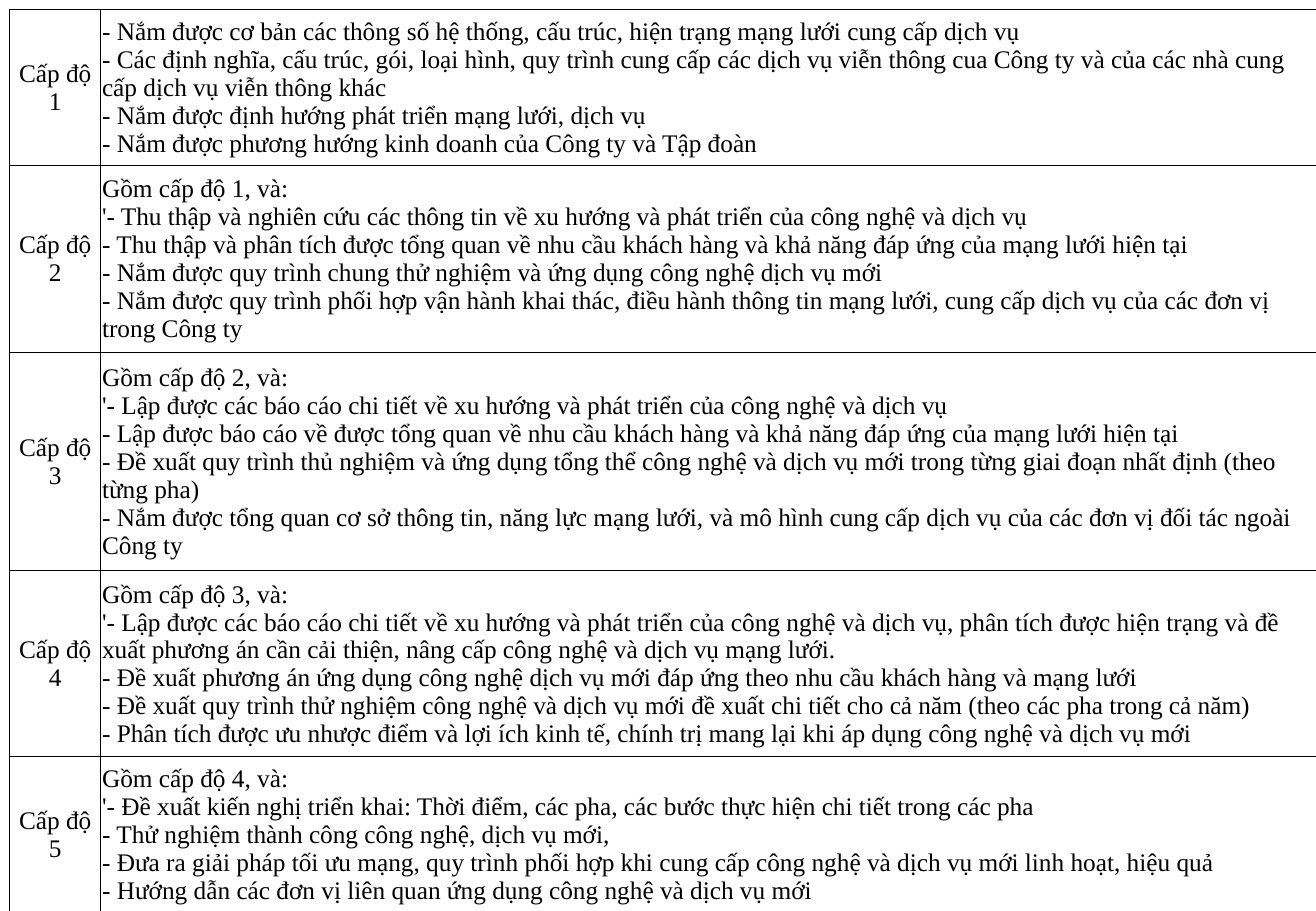
from dataclasses import dataclass

import pptx
import pptx.dml.color
import pptx.enum.text
import pptx.oxml
import pptx.oxml.ns
import pptx.table
import pptx.util

Align = pptx.enum.text.PP_ALIGN

# The slide is a grid of square cells, a hundred to the inch.
CELL = pptx.util.Inches(0.01)
WIDE, HIGH = 1083, 750
EDGE = 8
COLS = (75, WIDE - EDGE - 75)


@dataclass(frozen=True)
class Theme:
    font: str = "Times New Roman"
    size: float = 15
    ink: str = "000000"
    paper: str = "FFFFFF"
    line: float = 0.5


@dataclass(frozen=True)
class Level:
    rows: int
    skills: tuple[str, ...]


THEME = Theme()
LEVELS = (
    Level(128, (
        "Nắm được cơ bản các thông số hệ thống, cấu trúc, hiện trạng mạng lưới cung cấp dịch vụ",
        "Các định nghĩa, cấu trúc, gói, loại hình, quy trình cung cấp các dịch vụ viễn thông "
        "cua Công ty và của các nhà cung cấp dịch vụ viễn thông khác",
        "Nắm được định hướng phát triển mạng lưới, dịch vụ",
        "Nắm được phương hướng kinh doanh của Công ty và Tập đoàn",
    )),
    Level(154, (
        "Thu thập và nghiên cứu các thông tin về xu hướng và phát triển của công nghệ và dịch vụ",
        "Thu thập và phân tích được tổng quan về nhu cầu khách hàng và khả năng đáp ứng "
        "của mạng lưới hiện tại",
        "Nắm được quy trình chung thử nghiệm và ứng dụng công nghệ dịch vụ mới",
        "Nắm được quy trình phối hợp vận hành khai thác, điều hành thông tin mạng lưới, "
        "cung cấp dịch vụ của các đơn vị trong Công ty",
    )),
    Level(180, (
        "Lập được các báo cáo chi tiết về xu hướng và phát triển của công nghệ và dịch vụ",
        "Lập được báo cáo về được tổng quan về nhu cầu khách hàng và khả năng đáp ứng "
        "của mạng lưới hiện tại",
        "Đề xuất quy trình thủ nghiệm và ứng dụng tổng thể công nghệ và dịch vụ mới "
        "trong từng giai đoạn nhất định (theo từng pha)",
        "Nắm được tổng quan cơ sở thông tin, năng lực mạng lưới, và mô hình cung cấp dịch vụ "
        "của các đơn vị đối tác ngoài Công ty",
    )),
    Level(153, (
        "Lập được các báo cáo chi tiết về xu hướng và phát triển của công nghệ và dịch vụ, "
        "phân tích được hiện trạng và đề xuất phương án cần cải thiện, "
        "nâng cấp công nghệ và dịch vụ mạng lưới.",
        "Đề xuất phương án ứng dụng công nghệ dịch vụ mới đáp ứng theo nhu cầu "
        "khách hàng và mạng lưới",
        "Đề xuất quy trình thử nghiệm công nghệ và dịch vụ mới đề xuất chi tiết cho cả năm "
        "(theo các pha trong cả năm)",
        "Phân tích được ưu nhược điểm và lợi ích kinh tế, chính trị mang lại khi áp dụng "
        "công nghệ và dịch vụ mới",
    )),
    Level(128, (
        "Đề xuất kiến nghị triển khai: Thời điểm, các pha, các bước thực hiện chi tiết "
        "trong các pha",
        "Thử nghiệm thành công công nghệ, dịch vụ mới,",
        "Đưa ra giải pháp tối ưu mạng, quy trình phối hợp khi cung cấp công nghệ và dịch vụ mới "
        "linh hoạt, hiệu quả",
        "Hướng dẫn các đơn vị liên quan ứng dụng công nghệ và dịch vụ mới",
    )),
)


def rgb(code: str) -> pptx.dml.color.RGBColor:
    return pptx.dml.color.RGBColor.from_string(code)


def apply(item: object, style: dict[str, object]) -> None:
    for key, value in style.items():
        setattr(item, key, value)


def list_lines(rank: int, level: Level) -> list[str]:
    """Dash each skill; above the first rank, lead with the rank below."""
    lines = [f"- {skill}" for skill in level.skills]
    if rank > 1:
        lines[0] = "'" + lines[0]
        lines.insert(0, f"Gồm cấp độ {rank - 1}, và:")
    return lines


def add_frame(cell: pptx.table._Cell) -> None:
    """Rule all four sides of the cell."""
    props = cell._tc.get_or_add_tcPr()
    for side in "LRTB":
        props.append(pptx.oxml.parse_xml(
            f'<a:ln{side} {pptx.oxml.ns.nsdecls("a")} w="{pptx.util.Pt(THEME.line)}">'
            f'<a:solidFill><a:srgbClr val="{THEME.ink}"/></a:solidFill></a:ln{side}>'
        ))


def fill_cell(cell: pptx.table._Cell, lines: list[str], align: Align) -> None:
    apply(cell, {
        "margin_left": CELL, "margin_right": CELL, "margin_top": CELL, "margin_bottom": 0,
        "vertical_anchor": pptx.enum.text.MSO_ANCHOR.MIDDLE,
    })
    add_frame(cell)
    cell.fill.solid()
    cell.fill.fore_color.rgb = rgb(THEME.paper)
    cell.text_frame.text = "\n".join(lines)
    for para in cell.text_frame.paragraphs:
        para.alignment = align
        for run in para.runs:
            apply(run.font, {"name": THEME.font, "size": pptx.util.Pt(THEME.size)})
            run.font.color.rgb = rgb(THEME.ink)


def main() -> None:
    deck = pptx.Presentation()
    apply(deck, {"slide_width": WIDE * CELL, "slide_height": HIGH * CELL})
    slide = deck.slides.add_slide(deck.slide_layouts[6])
    high = sum(level.rows for level in LEVELS)
    table = slide.shapes.add_table(
        len(LEVELS), len(COLS), EDGE * CELL, EDGE * CELL, sum(COLS) * CELL, high * CELL
    ).table
    apply(table, {"first_row": False, "horz_banding": False})
    for col, width in zip(table.columns, COLS):
        col.width = width * CELL
    for rank, (row, level) in enumerate(zip(table.rows, LEVELS), 1):
        row.height = level.rows * CELL
        name, body = row.cells
        fill_cell(name, [f"Cấp độ {rank}"], Align.CENTER)
        fill_cell(body, list_lines(rank, level), Align.LEFT)
    deck.save("out.pptx")


if __name__ == "__main__":
    main()
